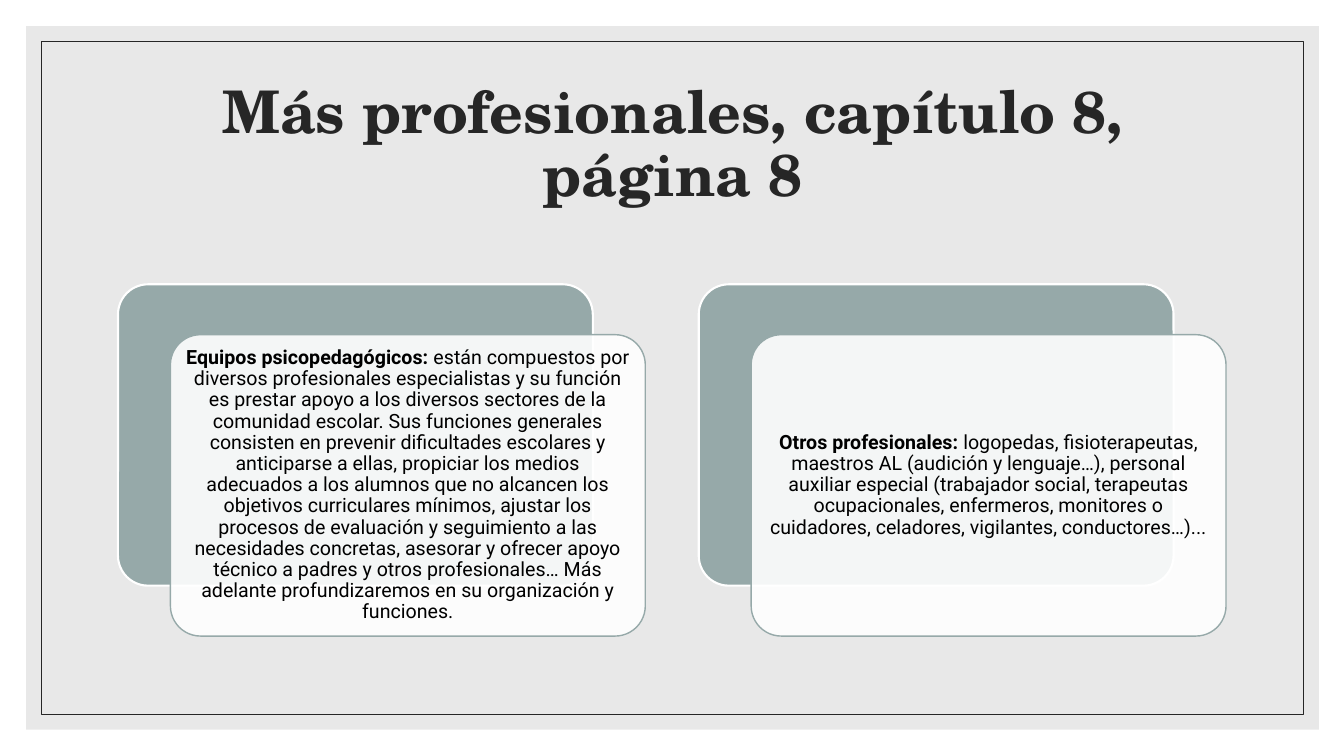
from dataclasses import dataclass

from lxml import etree
from pptx import Presentation
from pptx.dml.color import RGBColor
from pptx.enum.shapes import MSO_SHAPE
from pptx.enum.text import MSO_ANCHOR, MSO_AUTO_SIZE, PP_ALIGN
from pptx.oxml.ns import qn
from pptx.util import Inches, Pt

RECTANGLE = MSO_SHAPE.RECTANGLE
ROUNDED = MSO_SHAPE.ROUNDED_RECTANGLE
MIDDLE = MSO_ANCHOR.MIDDLE
CENTER = PP_ALIGN.CENTER
NO_AUTOFIT = MSO_AUTO_SIZE.NONE


@dataclass(frozen=True)
class Theme:
    white: str = "FFFFFF"
    panel: str = "D9D9D9"
    dark: str = "262626"
    sage: str = "96A9A9"
    black: str = "000000"
    title_font: str = "TeX Gyre Schola"
    body_font: str = "Roboto"
    title_size: int = 42
    body_size: int = 14


THEME = Theme()


def add_box(kind, box, fill=None, opacity=100, line=None, line_width=1):
    shape = slide.shapes.add_shape(kind, *map(Inches, box))
    shape.shadow.inherit = False
    if fill:
        shape.fill.solid()
        shape.fill.fore_color.rgb = RGBColor.from_string(fill)
        if opacity < 100:
            color = shape.fill._xPr.find(".//" + qn("a:srgbClr"))
            etree.SubElement(color, qn("a:alpha"), val=str(opacity * 1000))
    else:
        shape.fill.background()
    if line:
        shape.line.color.rgb = RGBColor.from_string(line)
        shape.line.width = Pt(line_width)
    else:
        shape.line.fill.background()
    return shape


def write_text(shape, runs, font, size, color, inset):
    frame = shape.text_frame
    settings = {"word_wrap": True, "auto_size": NO_AUTOFIT, "vertical_anchor": MIDDLE}
    for side in ("left", "top", "right", "bottom"):
        settings["margin_" + side] = Inches(inset)
    for name, value in settings.items():
        setattr(frame, name, value)
    paragraph = frame.paragraphs[0]
    paragraph.alignment = CENTER
    paragraph.line_spacing = 0.9
    for text, bold in runs:
        run = paragraph.add_run()
        run.text = text
        for name, value in {"name": font, "size": Pt(size), "bold": bold}.items():
            setattr(run.font, name, value)
        run.font.color.rgb = RGBColor.from_string(color)


presentation = Presentation()
presentation.slide_width = Inches(13.33)
presentation.slide_height = Inches(7.5)
slide = presentation.slides.add_slide(presentation.slide_layouts[5])

# Background panel and thin frame
slide.background.fill.solid()
slide.background.fill.fore_color.rgb = RGBColor.from_string(THEME.white)
add_box(RECTANGLE, (0.26, 0.26, 12.82, 6.98), fill=THEME.panel, opacity=60)
add_box(RECTANGLE, (0.41, 0.41, 12.52, 6.68), line=THEME.dark, line_width=0.5)

# Title, brought in front of the panel
title = slide.shapes.title
title_box = {"left": 1.17, "top": 0.7, "width": 11, "height": 1.5}
for name, value in title_box.items():
    setattr(title, name, Inches(value))
write_text(title, [("Más profesionales, capítulo 8, página 8", True)],
           THEME.title_font, THEME.title_size, THEME.dark, 0.1)
title.element.getparent().append(title.element)

# Two cards, each over an offset coloured plate
CARDS = [
    ("Equipos psicopedagógicos: ",
     "están compuestos por diversos profesionales especialistas y su función es "
     "prestar apoyo a los diversos sectores de la comunidad escolar. Sus funciones "
     "generales consisten en prevenir dificultades escolares y anticiparse a ellas, "
     "propiciar los medios adecuados a los alumnos que no alcancen los objetivos "
     "curriculares mínimos, ajustar los procesos de evaluación y seguimiento a las "
     "necesidades concretas, asesorar y ofrecer apoyo técnico a padres y otros "
     "profesionales… Más adelante profundizaremos en su organización y funciones."),
    ("Otros profesionales: ",
     "logopedas, fisioterapeutas, maestros AL (audición y lenguaje…), personal "
     "auxiliar especial (trabajador social, terapeutas ocupacionales, enfermeros, "
     "monitores o cuidadores, celadores, vigilantes, conductores…)..."),
]
CARD_LEFT, CARD_TOP, CARD_WIDTH, CARD_HEIGHT = 1.17, 2.82, 4.71, 2.99
CARD_PITCH = 5.76
CARD_OFFSET_X, CARD_OFFSET_Y = 0.52, 0.5

for index, (heading, description) in enumerate(CARDS):
    left = CARD_LEFT + index * CARD_PITCH
    plate = add_box(ROUNDED, (left, CARD_TOP, CARD_WIDTH, CARD_HEIGHT),
                    fill=THEME.sage, line=THEME.white, line_width=1.5)
    card = add_box(ROUNDED, (left + CARD_OFFSET_X, CARD_TOP + CARD_OFFSET_Y,
                             CARD_WIDTH, CARD_HEIGHT),
                   fill=THEME.white, opacity=90, line=THEME.sage)
    for shape in (plate, card):
        shape.adjustments[0] = 0.1
    write_text(card, [(heading, True), (description, False)],
               THEME.body_font, THEME.body_size, THEME.black, 0.06)

presentation.save("out.pptx")
